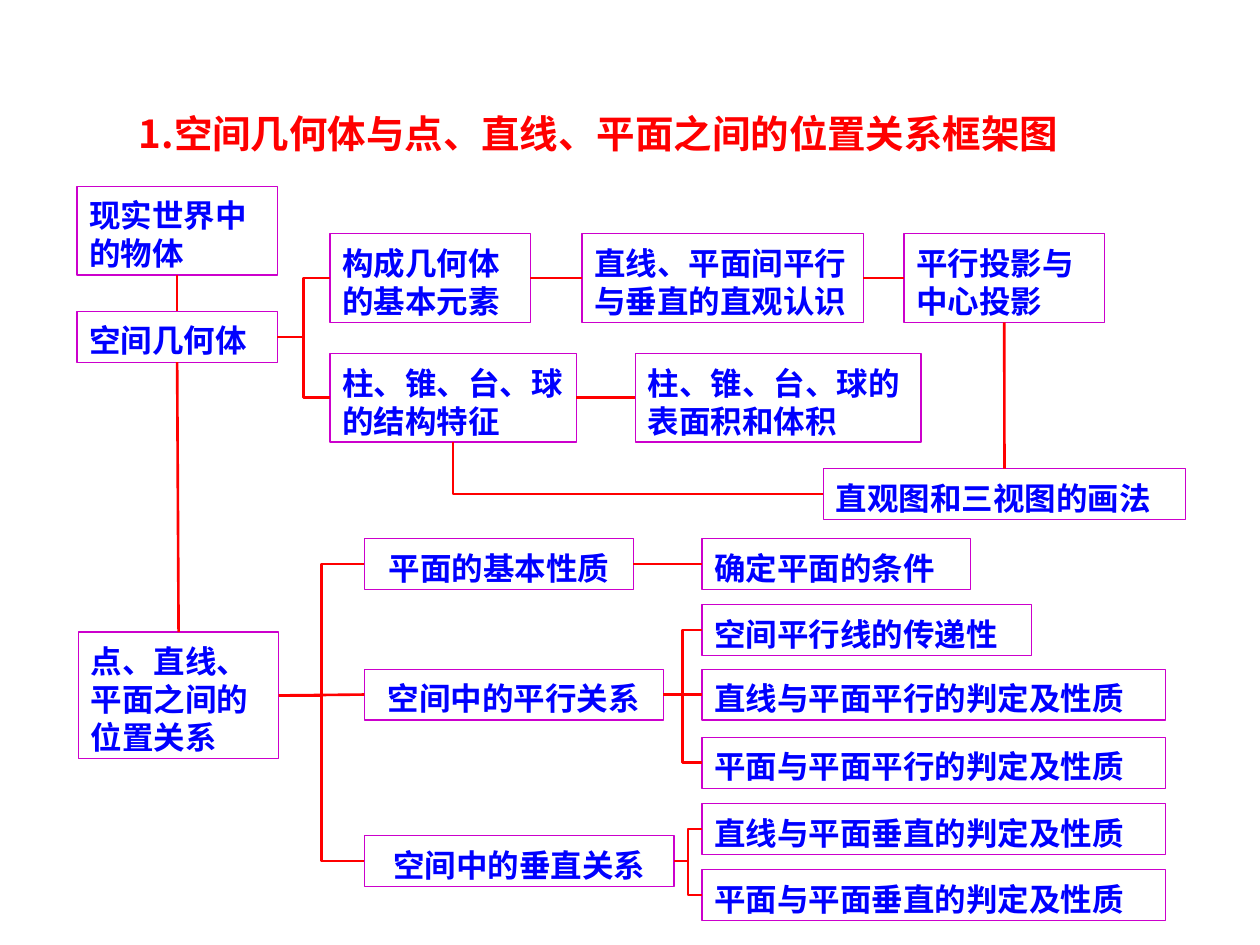
from lxml.etree import SubElement
from pptx import Presentation
from pptx.dml.color import RGBColor
from pptx.enum.shapes import MSO_CONNECTOR as Connector, MSO_SHAPE as Shape
from pptx.enum.text import MSO_ANCHOR as Anchor, PP_ALIGN as Align
from pptx.oxml.ns import qn
from pptx.util import Pt

COLORS = {"title": "FF0000", "label": "0000FF", "border": "CC00CC", "link": "FF0000"}
FONT = "Noto Sans CJK SC"
TOP, LEFT, BOTTOM, RIGHT = range(4)  # connection sites of a rectangle
HEIGHTS = {1: 29, 2: 50.6, 3: 72.4}  # box height by number of text lines


def write(shape, text, size=18, color="label", align=Align.LEFT, spacing=21.7):
    frame = shape.text_frame
    frame.word_wrap = True
    frame.vertical_anchor = Anchor.TOP
    frame.margin_left = frame.margin_right = Pt(7.2)
    frame.margin_top, frame.margin_bottom = Pt(5.6), Pt(1.6)
    para = frame.paragraphs[0]
    para.alignment = align
    para.line_spacing = Pt(spacing)
    span = para.add_run()
    span.text = text
    span.font.size = Pt(size)
    span.font.bold = True
    span.font.name = FONT
    span.font.color.rgb = RGBColor.from_string(COLORS[color])
    east_asian = SubElement(span.font._element, qn("a:ea"))
    east_asian.set("typeface", FONT)


def link(start, start_site, end, end_site, kind=Connector.STRAIGHT):
    """Glue a line between two named boxes."""
    line = page.shapes.add_connector(kind, 0, 0, 0, 0)
    line.begin_connect(boxes[start], start_site)
    line.end_connect(boxes[end], end_site)
    line.line.color.rgb = RGBColor.from_string(COLORS["link"])
    line.line.width = Pt(1.5)
    SubElement(line._element.spPr, qn("a:effectLst"))
    return line


deck = Presentation()
deck.slide_width, deck.slide_height = Pt(720), Pt(540)
page = deck.slides.add_slide(deck.slide_layouts[6])

title = page.shapes.add_textbox(Pt(39.6), Pt(46), Pt(604.8), Pt(44.6))
write(title, "1.空间几何体与点、直线、平面之间的位置关系框架图",
      size=22, color="title", align=Align.CENTER, spacing=37.4)

# name: left, top, width, text lines, alignment, text
nodes = {
    "objects": (44, 106.5, 114.5, 2, Align.LEFT, "现实世界中的物体"),
    "solids": (44, 178, 114.5, 1, Align.LEFT, "空间几何体"),
    "elements": (188.5, 133.6, 114.5, 2, Align.LEFT, "构成几何体的基本元素"),
    "intuition": (332.6, 133.6, 160.8, 2, Align.LEFT, "直线、平面间平行与垂直的直观认识"),
    "projection": (516.6, 133.6, 114.5, 2, Align.LEFT, "平行投影与中心投影"),
    "structure": (188.5, 202, 140.8, 2, Align.LEFT, "柱、锥、台、球的结构特征"),
    "measures": (363, 202, 163.3, 2, Align.LEFT, "柱、锥、台、球的表面积和体积"),
    "views": (470.5, 267.8, 207, 1, Align.LEFT, "直观图和三视图的画法"),
    "relations": (44.8, 361.2, 114.5, 3, Align.LEFT, "点、直线、平面之间的位置关系"),
    "plane": (208.2, 307.8, 153.7, 1, Align.CENTER, "平面的基本性质"),
    "conditions": (401.1, 307.8, 153.5, 1, Align.LEFT, "确定平面的条件"),
    "parallel": (208.2, 382.4, 170.8, 1, Align.CENTER, "空间中的平行关系"),
    "transitive": (401.1, 345.5, 188.3, 1, Align.LEFT, "空间平行线的传递性"),
    "line parallel": (401.1, 382.4, 265, 1, Align.LEFT, "直线与平面平行的判定及性质"),
    "plane parallel": (401.1, 421.4, 265, 1, Align.LEFT, "平面与平面平行的判定及性质"),
    "vertical": (208.2, 477.5, 177, 1, Align.CENTER, "空间中的垂直关系"),
    "line vertical": (401.1, 459.2, 265, 1, Align.LEFT, "直线与平面垂直的判定及性质"),
    "plane vertical": (401.1, 497, 265, 1, Align.LEFT, "平面与平面垂直的判定及性质"),
}

boxes = {}
for name, (left, top, width, lines, align, text) in nodes.items():
    box = page.shapes.add_shape(
        Shape.RECTANGLE, Pt(left), Pt(top), Pt(width), Pt(HEIGHTS[lines]))
    box.shadow.inherit = False
    box.fill.background()
    box.line.color.rgb = RGBColor.from_string(COLORS["border"])
    box.line.width = Pt(0.75)
    write(box, text, align=align)
    boxes[name] = box

for upper, lower in [("objects", "solids"), ("solids", "relations"), ("projection", "views")]:
    link(upper, BOTTOM, lower, TOP)

for source, target in [
    ("elements", "intuition"), ("intuition", "projection"), ("structure", "measures"),
    ("relations", "parallel"), ("plane", "conditions"), ("parallel", "line parallel"),
]:
    link(source, RIGHT, target, LEFT)

branches = {
    "solids": ["elements", "structure"],
    "relations": ["plane", "vertical"],
    "parallel": ["transitive", "plane parallel"],
    "vertical": ["line vertical", "plane vertical"],
}
for source, targets in branches.items():
    for target in targets:
        link(source, RIGHT, target, LEFT, Connector.ELBOW)

# A single-corner elbow runs left from the views box, then up to the structure box
corner = link("views", LEFT, "structure", BOTTOM, Connector.ELBOW)
corner._element.spPr.find(qn("a:prstGeom")).set("prst", "bentConnector2")

deck.save("out.pptx")
